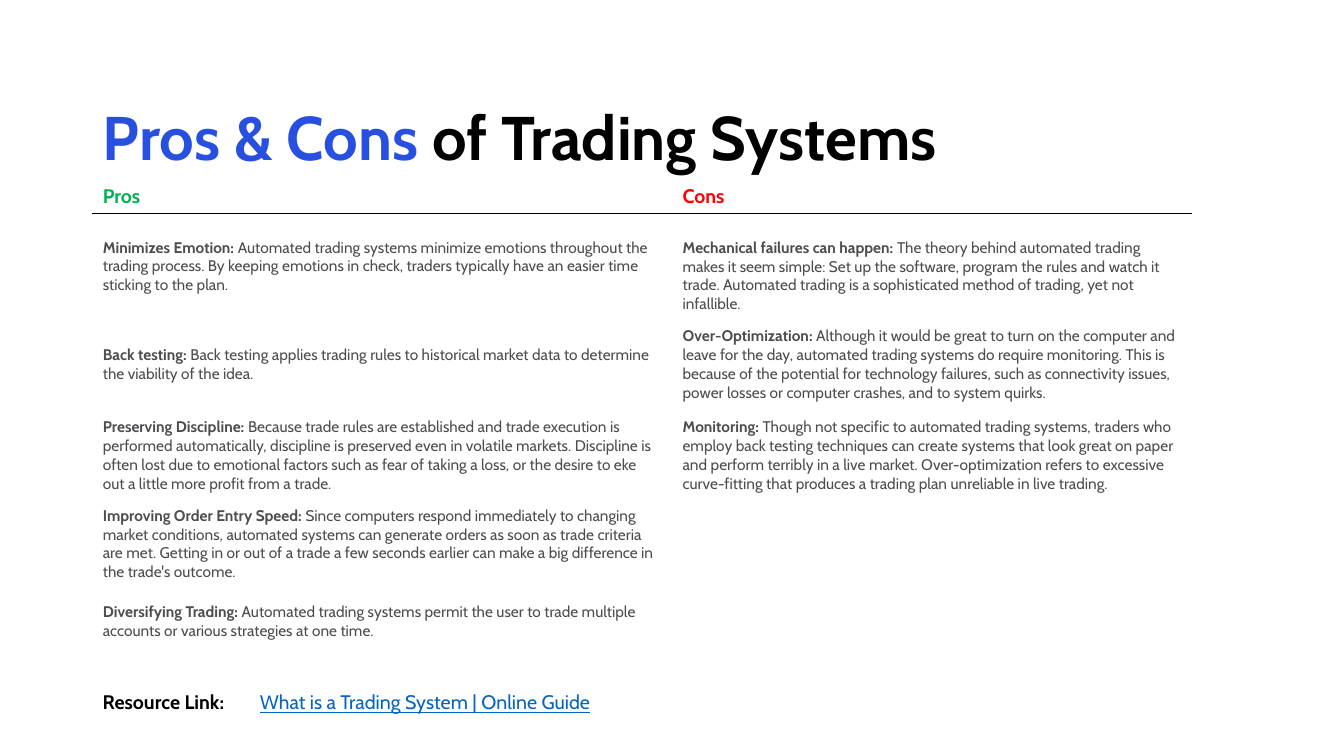
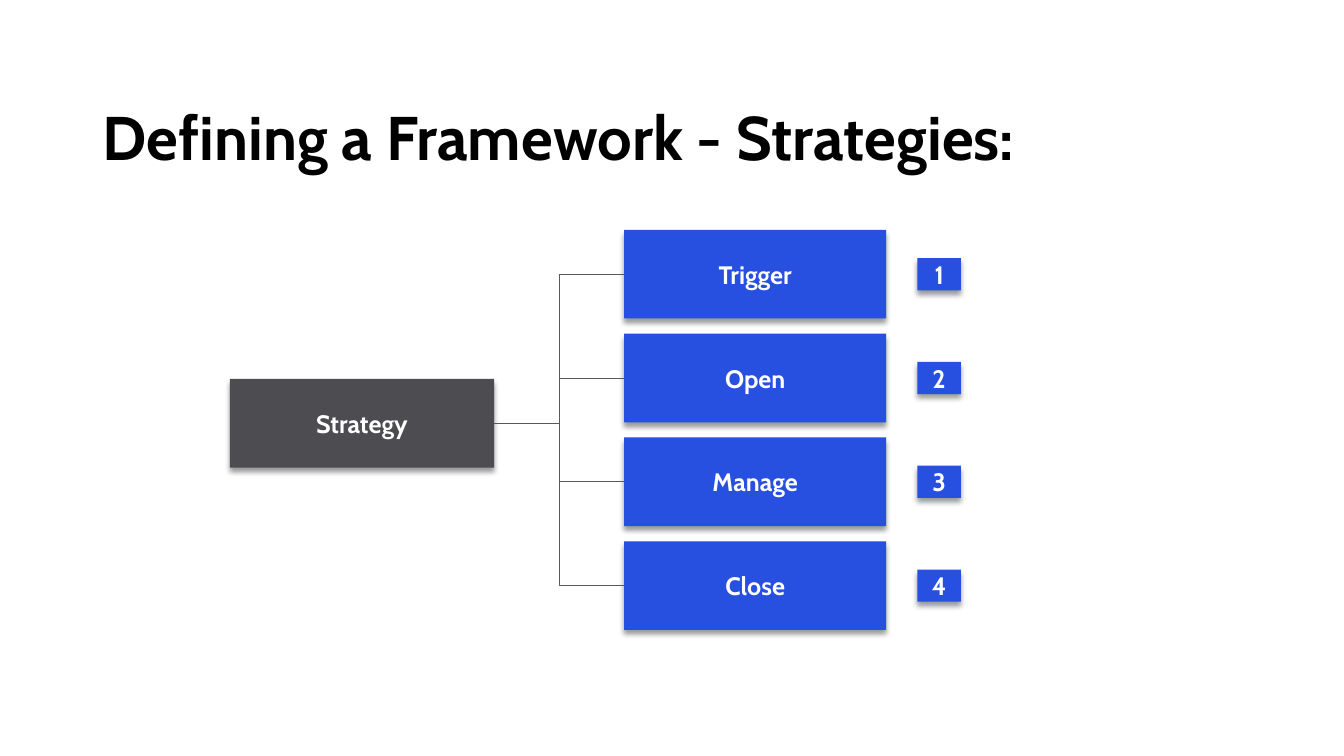
from lxml.etree import SubElement
from pptx import Presentation
from pptx.dml.color import RGBColor
from pptx.enum.shapes import MSO_CONNECTOR as Connector, MSO_SHAPE as Shape
from pptx.enum.text import MSO_ANCHOR as Anchor, MSO_AUTO_SIZE as AutoSize, PP_ALIGN as Align
from pptx.oxml.ns import qn
from pptx.util import Inches, Pt

FONT = "Cabin"
BLUE, GREY, BLACK, WHITE = "2850E0", "4C4C51", "000000", "FFFFFF"
GREEN, RED, LINK_BLUE, LINE_GREY = "00B050", "FF0000", "0563C1", "595959"
TITLE_ONLY = 5
LEFT = 0.92

COLUMN_WIDTHS = [5.75, 5.15]
ROW_HEIGHTS = [0.33, 1.05, 0.9, 0.9, 0.86, 0.68]
HEADINGS = [("Pros", GREEN), ("Cons", RED)]
PROS = [
    ("Minimizes Emotion:",
     "Automated trading systems minimize emotions throughout the trading process. "
     "By keeping emotions in check, traders typically have an easier time sticking to the plan."),
    ("Back testing:",
     "Back testing applies trading rules to historical market data to determine "
     "the viability of the idea."),
    ("Preserving Discipline:",
     "Because trade rules are established and trade execution is performed automatically, "
     "discipline is preserved even in volatile markets. Discipline is often lost due to "
     "emotional factors such as fear of taking a loss, or the desire to eke out a little "
     "more profit from a trade."),
    ("Improving Order Entry Speed:",
     "Since computers respond immediately to changing market conditions, automated systems "
     "can generate orders as soon as trade criteria are met. Getting in or out of a trade a "
     "few seconds earlier can make a big difference in the trade's outcome."),
    ("Diversifying Trading:",
     "Automated trading systems permit the user to trade multiple accounts or various "
     "strategies at one time."),
]
CONS = [
    ("Mechanical failures can happen:",
     "The theory behind automated trading makes it seem simple: Set up the software, program "
     "the rules and watch it trade. Automated trading is a sophisticated method of trading, "
     "yet not infallible."),
    ("Over-Optimization:",
     "Although it would be great to turn on the computer and leave for the day, automated "
     "trading systems do require monitoring. This is because of the potential for technology "
     "failures, such as connectivity issues, power losses or computer crashes, and to system "
     "quirks."),
    ("Monitoring:",
     "Though not specific to automated trading systems, traders who employ back testing "
     "techniques can create systems that look great on paper and perform terribly in a live "
     "market. Over-optimization refers to excessive curve-fitting that produces a trading "
     "plan unreliable in live trading."),
]
STEPS = ["Trigger", "Open", "Manage", "Close"]
STEP_TOP, STEP_PITCH, BOX_HEIGHT = 2.28, 1.03, 0.88
NUMBER_HEIGHT = 0.32


def color(code):
    return RGBColor.from_string(code)


def add_span(para, text, size, code, bold=False, underline=False):
    span = para.add_run()
    span.text = text
    font = span.font
    font.name, font.size, font.bold = FONT, Pt(size), bold
    font.color.rgb = color(code)
    if underline:
        font.underline = True


def add_page(deck, *title_parts):
    page = deck.slides.add_slide(deck.slide_layouts[TITLE_ONLY])
    title = page.shapes.title
    title.left, title.top = Inches(LEFT), Inches(0.94)
    title.width, title.height = Inches(11.5), Inches(0.91)
    frame = title.text_frame
    frame.auto_size, frame.vertical_anchor = AutoSize.NONE, Anchor.MIDDLE
    para = frame.paragraphs[0]
    para.alignment, para.line_spacing = Align.LEFT, 0.9
    for text, code in title_parts:
        add_span(para, text, 44, code, bold=True)
    return page


def add_label(page, left, width, text, code, **style):
    box = page.shapes.add_textbox(Inches(left), Inches(6.8), Inches(width), Inches(0.34))
    box.text_frame.word_wrap = True
    add_span(box.text_frame.paragraphs[0], text, 14, code, **style)


def set_borders(cell, top, bottom):
    properties = cell._tc.get_or_add_tcPr()
    for side, code in (("L", WHITE), ("R", WHITE), ("T", top), ("B", bottom)):
        border = SubElement(properties, qn(f"a:ln{side}"), w=str(Pt(1)))
        fill = SubElement(border, qn("a:solidFill"))
        SubElement(fill, qn("a:srgbClr"), val=code)


def add_comparison(page):
    frame = page.shapes.add_table(
        len(ROW_HEIGHTS), len(COLUMN_WIDTHS), Inches(LEFT), Inches(1.78),
        Inches(sum(COLUMN_WIDTHS)), Inches(sum(ROW_HEIGHTS)))
    table = frame.table
    table.first_row = table.horz_banding = False
    for column, width in zip(table.columns, COLUMN_WIDTHS):
        column.width = Inches(width)
    for index, (row, height) in enumerate(zip(table.rows, ROW_HEIGHTS)):
        row.height = Inches(height)
        for cell in row.cells:
            set_borders(cell, BLACK if index == 1 else WHITE, BLACK if index == 0 else WHITE)
            cell.fill.background()
    for column, (heading, points) in enumerate(zip(HEADINGS, (PROS, CONS))):
        text, code = heading
        add_span(table.cell(0, column).text_frame.paragraphs[0], text, 14, code, bold=True)
        for row, (lead, detail) in enumerate(points, start=1):
            cell = table.cell(row, column)
            cell.vertical_anchor = Anchor.MIDDLE
            para = cell.text_frame.paragraphs[0]
            add_span(para, lead, 11, GREY, bold=True)
            add_span(para, f" {detail}", 11, GREY)
    table.cell(1, 1).margin_top = Inches(0.24)


def add_shadow(shape):
    shape.shadow.inherit = False
    effects = shape._element.spPr.find(qn("a:effectLst"))
    shadow = SubElement(effects, qn("a:outerShdw"), blurRad=str(Pt(4)), dist=str(Pt(3)),
                        dir="5400000", algn="t", rotWithShape="0")
    tint = SubElement(shadow, qn("a:srgbClr"), val=BLACK)
    SubElement(tint, qn("a:alpha"), val="40000")


def add_box(page, left, top, width, height, text, code):
    box = page.shapes.add_shape(
        Shape.RECTANGLE, Inches(left), Inches(top), Inches(width), Inches(height))
    box.fill.solid()
    box.fill.fore_color.rgb = color(code)
    box.line.fill.background()
    add_shadow(box)
    box.text_frame.vertical_anchor = Anchor.MIDDLE
    para = box.text_frame.paragraphs[0]
    para.alignment = Align.CENTER
    add_span(para, text, 18, WHITE, bold=True)
    return box


def connect(page, source, target):
    link = page.shapes.add_connector(Connector.ELBOW, 0, 0, 0, 0)
    link.begin_connect(source, 3)
    link.end_connect(target, 1)
    link.line.color.rgb = color(LINE_GREY)
    link.line.width = Pt(0.5)
    SubElement(link._element.spPr, qn("a:effectLst"))


def add_strategy_tree(page):
    strategy = add_box(page, 2.28, 3.76, 2.62, BOX_HEIGHT, "Strategy", GREY)
    for index, name in enumerate(STEPS):
        top = STEP_TOP + index * STEP_PITCH
        step = add_box(page, 6.19, top, 2.6, BOX_HEIGHT, name, BLUE)
        connect(page, strategy, step)
        number_top = top + (BOX_HEIGHT - NUMBER_HEIGHT) / 2
        add_box(page, 9.1, number_top, 0.43, NUMBER_HEIGHT, str(index + 1), BLUE)


def main():
    deck = Presentation()
    deck.slide_width, deck.slide_height = Inches(13.33), Inches(7.5)

    page = add_page(deck, ("Pros & Cons", BLUE), (" of Trading Systems", BLACK))
    add_comparison(page)
    add_label(page, 2.48, 6.24, "What is a Trading System | Online Guide", LINK_BLUE,
              underline=True)
    add_label(page, LEFT, 1.57, "Resource Link:", BLACK, bold=True)

    page = add_page(deck, ("Defining a Framework - Strategies:", BLACK))
    add_strategy_tree(page)

    deck.save("out.pptx")


main()
